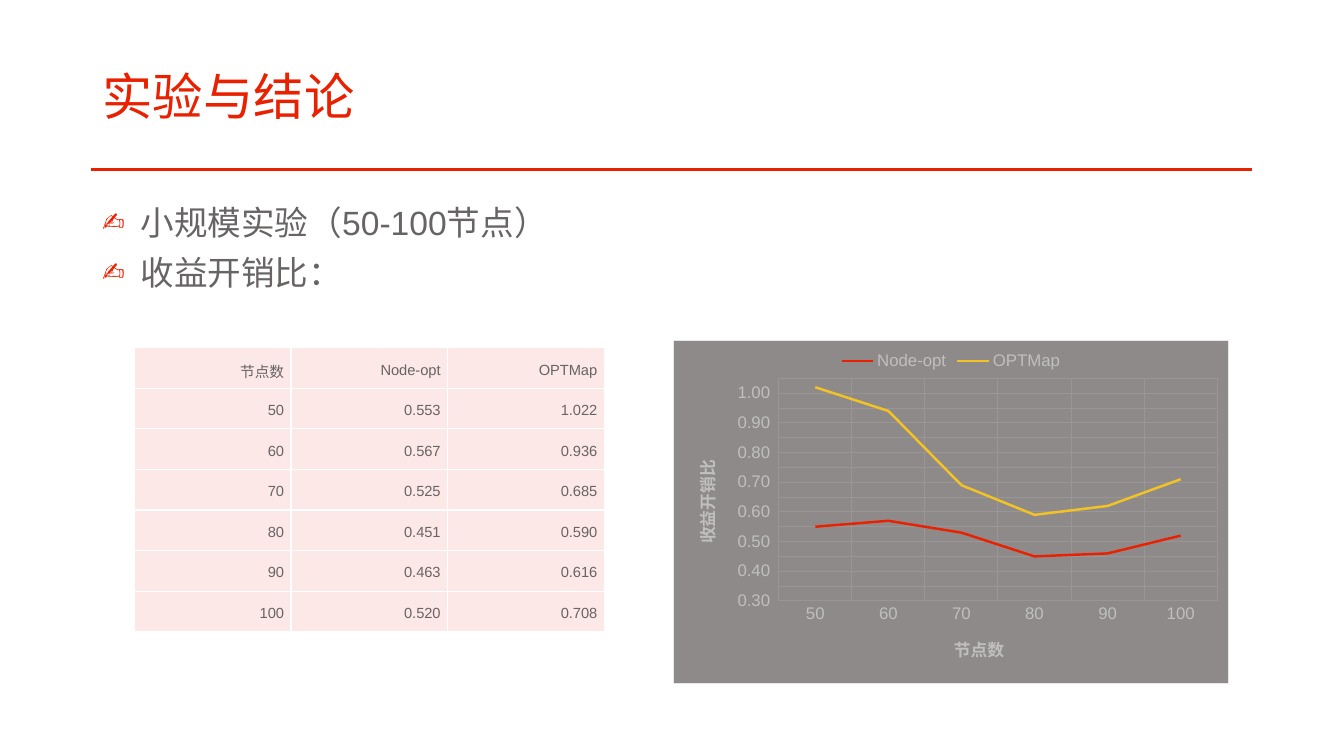
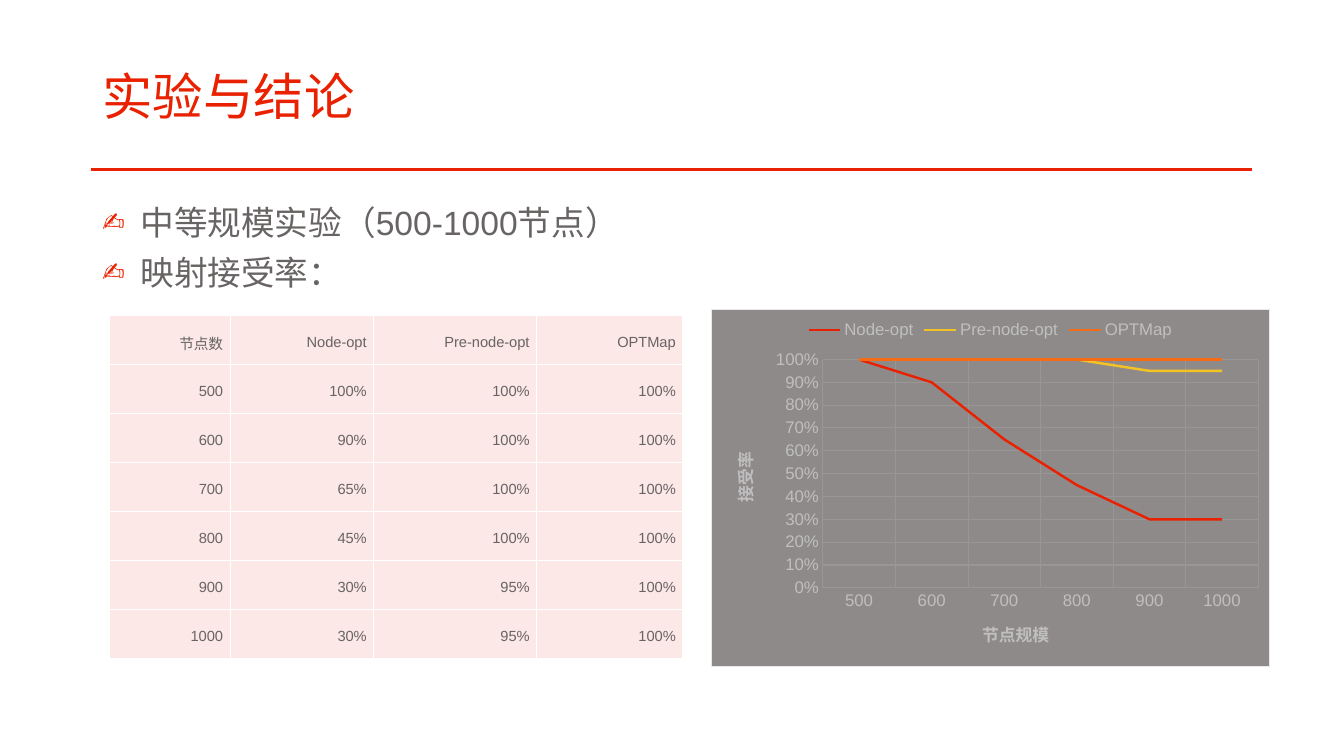
from dataclasses import dataclass

import lxml.etree
import pptx
import pptx.chart.data
import pptx.dml.color
import pptx.enum.chart
import pptx.enum.shapes
import pptx.enum.text
import pptx.oxml.ns
import pptx.util

# The slide is a square grid of 160 columns by 90 rows.
SLIDE_WIDTH = pptx.util.Inches(13.333)
SLIDE_HEIGHT = pptx.util.Inches(7.5)
COLUMNS, ROWS = 160, 90

FONT = "Arial"
RED, GOLD, ORANGE = "E92100", "F3C324", "F66B16"
BODY_GREY, CELL_PINK, WHITE = "696464", "FBE8E7", "FFFFFF"
CHART_GREY, CHART_EDGE = "8F8A8A", "E9E8E8"
GRID_GREY, LABEL_GREY = "9B9696", "BFBFBF"
SERIES_COLOURS = (RED, GOLD, ORANGE)


@dataclass(frozen=True)
class Area:
    """Left, top, width and height, in columns and rows of the grid."""
    column: float
    row: float
    columns: float
    rows: float

    def emu(self) -> tuple[int, int, int, int]:
        return (across(self.column), down(self.row),
                across(self.columns), down(self.rows))


@dataclass(frozen=True)
class AxisStyle:
    """An axis title and its left and top as shares of the chart."""
    title: str
    left: float
    top: float


@dataclass(frozen=True)
class ValueScale:
    low: float
    high: float
    step: float
    number_format: str


@dataclass(frozen=True)
class Experiment:
    bullets: tuple[str, ...]
    header: tuple[str, ...]
    results: tuple[tuple[str, ...], ...]
    table_area: Area
    column_widths: tuple[float, ...]
    chart_area: Area
    plot_shares: tuple[float, float, float, float]
    category_axis: AxisStyle
    value_axis: AxisStyle
    scale: ValueScale


TITLE = "实验与结论"
TITLE_AREA = Area(11, 5.3, 138, 13)
BULLET_AREA = Area(11, 24, 138, 13)
RULE_ROW, RULE_START, RULE_END = 20.2, 10.8, 149

EXPERIMENTS = (
    Experiment(
        bullets=("小规模实验（50-100节点）", "收益开销比："),
        header=("节点数", "Node-opt", "OPTMap"),
        results=(
            ("50", "0.553", "1.022"),
            ("60", "0.567", "0.936"),
            ("70", "0.525", "0.685"),
            ("80", "0.451", "0.590"),
            ("90", "0.463", "0.616"),
            ("100", "0.520", "0.708"),
        ),
        table_area=Area(16, 41.4, 55.95, 33.8),
        column_widths=(18.65, 18.65, 18.65),
        chart_area=Area(80.1, 40.5, 66.2, 40.9),
        plot_shares=(0.19, 0.11, 0.79, 0.65),
        category_axis=AxisStyle("节点数", 0.5, 0.85),
        value_axis=AxisStyle("收益开销比", 0.03, 0.34),
        scale=ValueScale(0.3, 1.05, 0.05, "0.00_)"),
    ),
    Experiment(
        bullets=("中等规模实验（500-1000节点）", "映射接受率："),
        header=("节点数", "Node-opt", "Pre-node-opt", "OPTMap"),
        results=(
            ("500", "100%", "100%", "100%"),
            ("600", "90%", "100%", "100%"),
            ("700", "65%", "100%", "100%"),
            ("800", "45%", "100%", "100%"),
            ("900", "30%", "95%", "100%"),
            ("1000", "30%", "95%", "100%"),
        ),
        table_area=Area(13, 37.6, 68.3, 40.8),
        column_widths=(14.4, 17.1, 19.4, 17.4),
        chart_area=Area(84.6, 36.8, 66.6, 42.6),
        plot_shares=(0.2, 0.14, 0.78, 0.64),
        category_axis=AxisStyle("节点规模", 0.48, 0.86),
        value_axis=AxisStyle("接受率", 0.03, 0.39),
        scale=ValueScale(0, 1, 0.1, "0%"),
    ),
)


def across(columns: float) -> int:
    return round(SLIDE_WIDTH * columns / COLUMNS)


def down(rows: float) -> int:
    return round(SLIDE_HEIGHT * rows / ROWS)


def colour(value: str) -> pptx.dml.color.RGBColor:
    return pptx.dml.color.RGBColor.from_string(value)


def add_xml(parent, tag: str, **attributes: str):
    return lxml.etree.SubElement(parent, pptx.oxml.ns.qn(tag), attributes)


def add_solid_fill(parent, value: str) -> None:
    add_xml(add_xml(parent, "a:solidFill"), "a:srgbClr", val=value)


def style_font(font, size: float, value: str) -> None:
    font.name = FONT
    font.size = pptx.util.Pt(size)
    font.color.rgb = colour(value)


def style_line(line, value: str, width: float) -> None:
    line.color.rgb = colour(value)
    line.width = pptx.util.Pt(width)


def plotted_value(text: str) -> float:
    """Read a table entry as a number with two decimals."""
    number = int(text[:-1]) / 100 if text.endswith("%") else float(text)
    return round(number, 2)


def add_heading(slide) -> None:
    """Fill the title and draw the rule below it."""
    title = slide.shapes.title
    title.left, title.top, title.width, title.height = TITLE_AREA.emu()
    title.text_frame.text = TITLE
    title.text_frame.vertical_anchor = pptx.enum.text.MSO_ANCHOR.MIDDLE
    paragraph = title.text_frame.paragraphs[0]
    paragraph.alignment = pptx.enum.text.PP_ALIGN.LEFT
    paragraph.line_spacing = 0.9
    style_font(paragraph.font, 36, RED)

    rule = slide.shapes.add_connector(
        pptx.enum.shapes.MSO_CONNECTOR.STRAIGHT,
        across(RULE_END), down(RULE_ROW), across(RULE_START), down(RULE_ROW))
    style_line(rule.line, RED, 1.75)
    add_xml(rule.element.spPr, "a:effectLst")


def add_bullets(slide, bullets: tuple[str, ...]) -> None:
    frame = slide.shapes.add_textbox(*BULLET_AREA.emu()).text_frame
    frame.word_wrap = True
    frame.text = "\n".join(bullets)
    hanging = pptx.util.Inches(0.38)
    for paragraph in frame.paragraphs:
        paragraph.line_spacing = 0.9
        paragraph.space_before = pptx.util.Pt(10)
        style_font(paragraph.font, 24, BODY_GREY)
        properties = paragraph._p.get_or_add_pPr()
        properties.set("marL", str(hanging))
        properties.set("indent", str(-hanging))
        bullet_colour = lxml.etree.Element(pptx.oxml.ns.qn("a:buClr"))
        add_xml(bullet_colour, "a:srgbClr", val=RED)
        bullet = lxml.etree.Element(pptx.oxml.ns.qn("a:buChar"), char="✍")
        properties.find(pptx.oxml.ns.qn("a:spcBef")).addnext(bullet_colour)
        bullet_colour.addnext(bullet)


def fill_cell(cell, text: str) -> None:
    cell.text = text
    cell.vertical_anchor = pptx.enum.text.MSO_ANCHOR.MIDDLE
    cell.margin_left = cell.margin_right = pptx.util.Inches(0.07)
    cell.margin_top = cell.margin_bottom = 0
    paragraph = cell.text_frame.paragraphs[0]
    paragraph.alignment = pptx.enum.text.PP_ALIGN.RIGHT
    paragraph.line_spacing = 1.25
    style_font(paragraph.font, 10.5, BODY_GREY)
    cell.fill.solid()
    cell.fill.fore_color.rgb = colour(CELL_PINK)
    properties = cell._tc.get_or_add_tcPr()
    for position, side in enumerate(("a:lnL", "a:lnR", "a:lnT", "a:lnB")):
        border = add_xml(properties, side, w=str(pptx.util.Pt(1)))
        add_solid_fill(border, WHITE)
        properties.insert(position, border)


def add_results_table(slide, experiment: Experiment) -> None:
    lines = (experiment.header, *experiment.results)
    table = slide.shapes.add_table(
        len(lines), len(experiment.header), *experiment.table_area.emu()).table
    table.first_row = table.horz_banding = False
    for column, width in zip(table.columns, experiment.column_widths):
        column.width = across(width)
    for row, texts in zip(table.rows, lines):
        for cell, text in zip(row.cells, texts):
            fill_cell(cell, text)


def place_in_chart(parent, position: int, **shares: float) -> None:
    """Give a part of the chart a fixed place, in shares of the chart."""
    for automatic in parent.findall(pptx.oxml.ns.qn("c:layout")):
        parent.remove(automatic)
    layout = add_xml(parent, "c:layout")
    manual = add_xml(layout, "c:manualLayout")
    if "w" in shares:
        add_xml(manual, "c:layoutTarget", val="inner")
    for mode in ("c:xMode", "c:yMode"):
        add_xml(manual, mode, val="edge")
    for name, share in shares.items():
        add_xml(manual, f"c:{name}", val=str(share))
    parent.insert(position, layout)


def style_axis(axis, style: AxisStyle, rotation: int) -> None:
    frame = axis.axis_title.text_frame
    frame.text = style.title
    font = frame.paragraphs[0].font
    style_font(font, 12, LABEL_GREY)
    font.bold = True
    frame._txBody.bodyPr.set("rot", str(rotation * 60000))
    place_in_chart(axis.axis_title.element, 1, x=style.left, y=style.top)

    style_font(axis.tick_labels.font, 12, LABEL_GREY)
    axis.major_tick_mark = pptx.enum.chart.XL_TICK_MARK.NONE
    axis.minor_tick_mark = pptx.enum.chart.XL_TICK_MARK.NONE
    axis.format.line.fill.background()
    axis.has_major_gridlines = True
    style_line(axis.major_gridlines.format.line, GRID_GREY, 0.75)


def fill_chart_background(chart) -> None:
    chart_space = chart.element
    background = add_xml(chart_space, "c:spPr")
    add_solid_fill(background, CHART_GREY)
    edge = add_xml(background, "a:ln", w=str(pptx.util.Pt(0.75)))
    add_solid_fill(edge, CHART_EDGE)
    chart_space.find(pptx.oxml.ns.qn("c:chart")).addnext(background)


def add_results_chart(slide, experiment: Experiment) -> None:
    """Plot the columns of the results table over its first column."""
    scale = experiment.scale
    node_counts, *measures = zip(*experiment.results)
    data = pptx.chart.data.CategoryChartData(number_format=scale.number_format)
    data.categories = node_counts
    for name, texts in zip(experiment.header[1:], measures):
        data.add_series(name, [plotted_value(text) for text in texts])
    chart = slide.shapes.add_chart(
        pptx.enum.chart.XL_CHART_TYPE.LINE,
        *experiment.chart_area.emu(), data).chart
    chart.has_title = False
    style_font(chart.font, 10, BODY_GREY)
    fill_chart_background(chart)

    chart.has_legend = True
    chart.legend.position = pptx.enum.chart.XL_LEGEND_POSITION.TOP
    chart.legend.include_in_layout = False
    style_font(chart.legend.font, 12, LABEL_GREY)

    style_axis(chart.category_axis, experiment.category_axis, 0)
    values = chart.value_axis
    style_axis(values, experiment.value_axis, -90)
    values.minimum_scale, values.maximum_scale = scale.low, scale.high
    values.major_unit = scale.step
    values.tick_labels.number_format = scale.number_format
    values.tick_labels.number_format_is_linked = False

    plot = chart.plots[0]
    plot.vary_by_categories = False
    for series, value in zip(plot.series, SERIES_COLOURS):
        series.smooth = False
        style_line(series.format.line, value, 1.75)
    plot_area = chart.element.find(".//" + pptx.oxml.ns.qn("c:plotArea"))
    place_in_chart(plot_area, 0, **dict(zip("xywh", experiment.plot_shares)))


def main() -> None:
    deck = pptx.Presentation()
    deck.slide_width, deck.slide_height = SLIDE_WIDTH, SLIDE_HEIGHT
    title_only = deck.slide_layouts[5]
    for experiment in EXPERIMENTS:
        slide = deck.slides.add_slide(title_only)
        add_heading(slide)
        add_bullets(slide, experiment.bullets)
        add_results_table(slide, experiment)
        add_results_chart(slide, experiment)
    deck.save("out.pptx")


if __name__ == "__main__":
    main()
